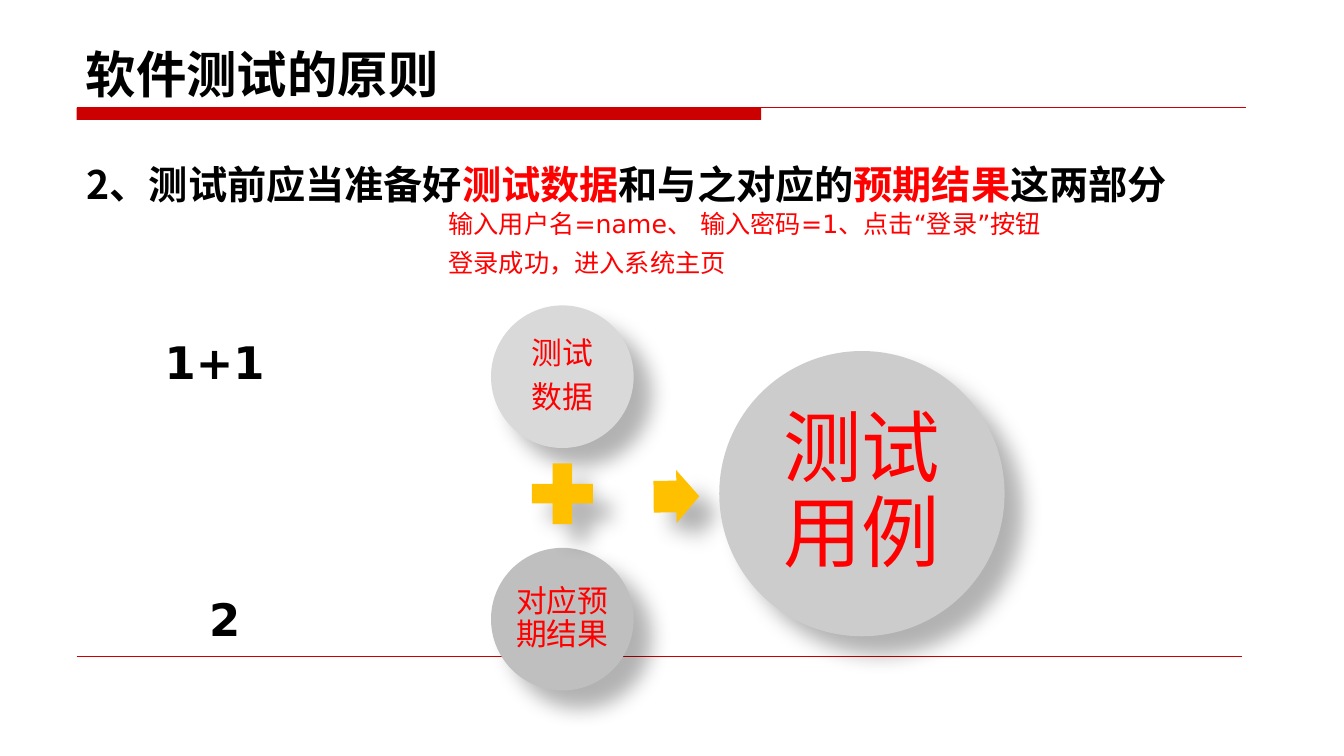
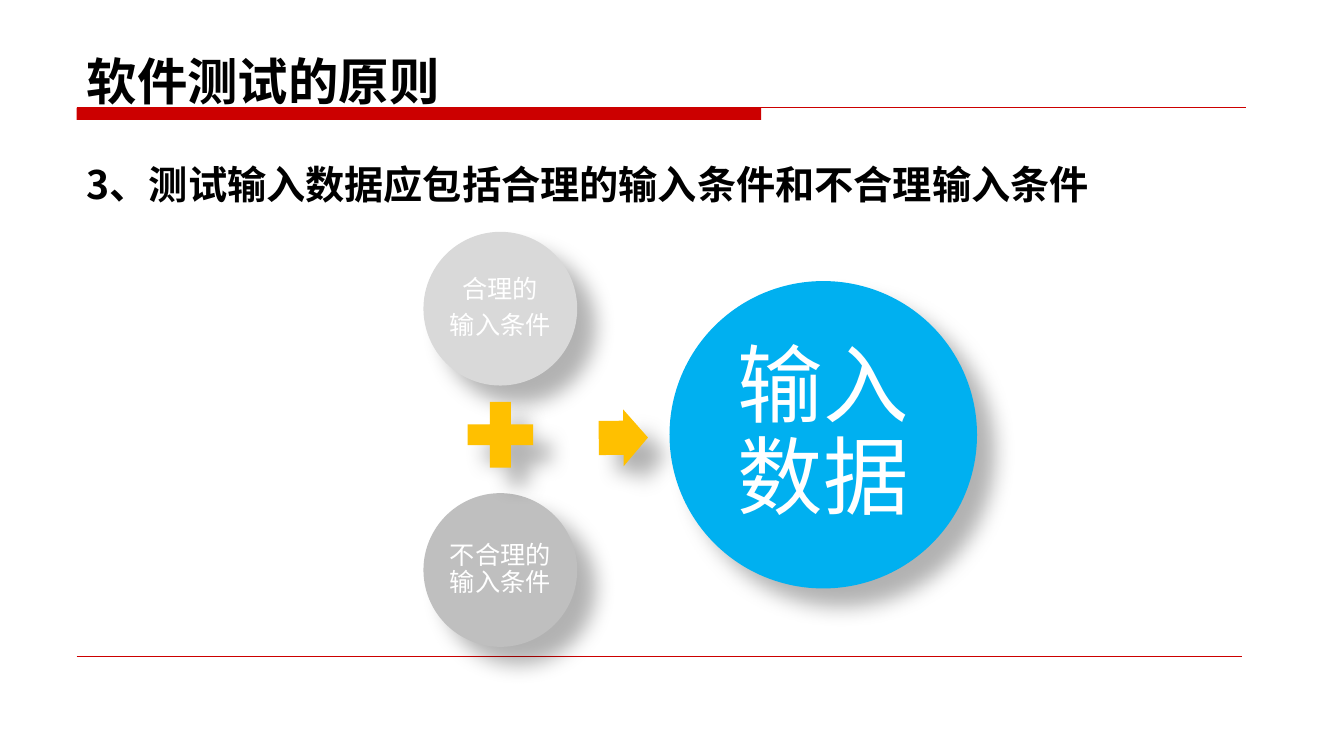
from lxml import etree
from pptx import Presentation
from pptx.dml.color import RGBColor
from pptx.enum.shapes import MSO_CONNECTOR, MSO_SHAPE
from pptx.enum.text import MSO_ANCHOR, MSO_AUTO_SIZE, PP_ALIGN
from pptx.oxml import parse_xml
from pptx.oxml.ns import nsdecls, qn
from pptx.util import Inches, Pt

STRAIGHT = MSO_CONNECTOR.STRAIGHT
ELLIPSE, PLUS, ARROW = MSO_SHAPE.OVAL, MSO_SHAPE.MATH_PLUS, MSO_SHAPE.RIGHT_ARROW
RECTANGLE = MSO_SHAPE.RECTANGLE
MIDDLE, BOTTOM = MSO_ANCHOR.MIDDLE, MSO_ANCHOR.BOTTOM
LEFT, CENTER = PP_ALIGN.LEFT, PP_ALIGN.CENTER
NO_FIT = MSO_AUTO_SIZE.NONE

BLACK = RGBColor(0x00, 0x00, 0x00)
WHITE = RGBColor(0xFF, 0xFF, 0xFF)
RED = RGBColor(0xFF, 0x00, 0x00)
BAND_RED = RGBColor(0xCC, 0x00, 0x00)
LIGHT_GRAY = RGBColor(0xD9, 0xD9, 0xD9)
MIDDLE_GRAY = RGBColor(0xBF, 0xBF, 0xBF)
RESULT_GRAY = RGBColor(0xCC, 0xCC, 0xCC)
RESULT_BLUE = RGBColor(0x00, 0xB0, 0xF0)
GOLD = RGBColor(0xFF, 0xC0, 0x00)

HEADING_FONT = "Noto Sans CJK SC"
TEXT_FONT = "DejaVu Sans"
TITLE = "软件测试的原则"

SLIDES = [
    {
        "title_at": (0.75, 0.29),
        "principle": [("2、测试前应当准备好", BLACK), ("测试数据", RED),
                      ("和与之对应的", BLACK), ("预期结果", RED), ("这两部分", BLACK)],
        "diagram": {
            "at": (4.87, 3.03), "result_diameter": 2.83, "text_color": RED,
            "parts": [["测试", "数据"], ["对应预期结果"]], "part_size": 22,
            "result": ["测试用例"], "result_size": 56, "result_fill": RESULT_GRAY,
        },
        "examples": [("1+1", 1.38, 3.27), ("2", 1.48, 5.82)],
        "steps": ["输入用户名=name、 输入密码=1、点击“登录”按钮", "登录成功，进入系统主页"],
    },
    {
        "title_at": (0.76, 0.36),
        "principle": [("3、测试输入数据应包括合理的输入条件和不合理输入条件", BLACK)],
        "diagram": {
            "at": (4.2, 2.3), "result_diameter": 3.05, "text_color": WHITE,
            "parts": [["合理的", "输入条件"], ["不合理的输入条件"]], "part_size": 18,
            "result": ["输入数据"], "result_size": 61, "result_fill": RESULT_BLUE,
        },
        "examples": [],
        "steps": [],
    },
]


def format_run(run, size, color, font=TEXT_FONT, bold=False):
    run.font.size = Pt(size)
    run.font.color.rgb = color
    run.font.bold = bold
    run.font.name = font
    east_asian = etree.SubElement(run.font._element, qn("a:ea"))
    east_asian.set("typeface", font)


def set_indent(paragraph, margin, first_line):
    properties = paragraph._p.get_or_add_pPr()
    properties.set("marL", str(Inches(margin)))
    properties.set("indent", str(Inches(first_line)))
    return properties


def place(shape, left, top, width, height):
    shape.left, shape.top = Inches(left), Inches(top)
    shape.width, shape.height = Inches(width), Inches(height)


def fill_lines(frame, lines, size, color, bold=False):
    """Write one paragraph per line and return the paragraphs."""
    frame.word_wrap = True
    frame.text = "\n".join(lines)
    for paragraph in frame.paragraphs:
        format_run(paragraph.runs[0], size, color, bold=bold)
    return frame.paragraphs


def add_rule(slide, left, top, right, width):
    rule = slide.shapes.add_connector(
        STRAIGHT, Inches(left), Inches(top), Inches(right), Inches(top))
    rule.line.color.rgb = BAND_RED
    rule.line.width = Pt(width)
    etree.SubElement(rule._element.spPr, qn("a:effectLst"))
    return rule


def add_master_rules(presentation, slide):
    """Draw the title band and rules, then move them to the master."""
    band = slide.shapes.add_shape(
        RECTANGLE, Inches(0.76), Inches(1.07), Inches(6.79), Inches(0.12))
    band.shadow.inherit = False
    band.fill.solid()
    band.fill.fore_color.rgb = BAND_RED
    band.line.fill.background()
    rules = [band, add_rule(slide, 0.76, 1.07, 12.36, 0.75),
             add_rule(slide, 0.76, 6.51, 12.32, 0.25)]
    for shape in rules:
        presentation.slide_master.shapes._spTree.append(shape._element)


def add_headings(slide, title_at, principle):
    title = slide.shapes.title
    place(title, *title_at, 11.67, 0.79)
    frame = title.text_frame
    frame.text = TITLE
    frame.auto_size = NO_FIT
    frame.vertical_anchor = BOTTOM
    frame.paragraphs[0].alignment = LEFT
    format_run(frame.paragraphs[0].runs[0], 36, BLACK, HEADING_FONT, True)

    body = slide.placeholders[1]
    place(body, 0.76, 1.31, 11.67, 4.67)
    body.text_frame.auto_size = NO_FIT
    paragraph = body.text_frame.paragraphs[0]
    paragraph.line_spacing = 1.5
    etree.SubElement(set_indent(paragraph, 0.51, -0.51), qn("a:buNone"))
    for text, color in principle:
        run = paragraph.add_run()
        run.text = text
        format_run(run, 28, color, HEADING_FONT, True)


def add_diagram(slide, diagram):
    """Place all parts by their centres, measured in small-circle diameters."""
    left, top = diagram["at"]
    unit = diagram["result_diameter"] / 2

    def add_part(kind, center_x, center_y, width, height, fill):
        shape = slide.shapes.add_shape(
            kind,
            Inches(left + (center_x - width / 2) * unit),
            Inches(top + (center_y - height / 2) * unit),
            Inches(width * unit), Inches(height * unit))
        shape.fill.solid()
        shape.fill.fore_color.rgb = fill
        shape.line.fill.background()
        shape._element.spPr.append(parse_xml(
            f'<a:effectLst {nsdecls("a")}><a:outerShdw blurRad="{Pt(15)}" '
            f'dist="{Pt(18)}" dir="2700000" algn="ctr" rotWithShape="0">'
            '<a:srgbClr val="000000"><a:alpha val="30000"/></a:srgbClr>'
            '</a:outerShdw></a:effectLst>'))
        return shape

    def add_circle(center_x, center_y, diameter, fill, lines, size, inset):
        circle = add_part(ELLIPSE, center_x, center_y, diameter, diameter, fill)
        frame = circle.text_frame
        frame.margin_left = frame.margin_right = Inches(inset)
        frame.margin_top = frame.margin_bottom = Inches(inset)
        frame.vertical_anchor = MIDDLE
        for paragraph in fill_lines(frame, lines, size, diagram["text_color"]):
            paragraph.alignment = CENTER
            paragraph.line_spacing = 0.9
            paragraph.space_after = Pt(size * 0.35)

    for index, (lines, fill) in enumerate(zip(diagram["parts"], (LIGHT_GRAY, MIDDLE_GRAY))):
        add_circle(0.5, 0.5 + 1.7 * index, 1, fill, lines, diagram["part_size"], 0.03)
    add_part(PLUS, 0.5, 1.32, 0.58, 0.58, GOLD)
    arrow = add_part(ARROW, 1.3, 1.34, 0.32, 0.37, GOLD)
    arrow.adjustments[0], arrow.adjustments[1] = 0.6, 0.5
    arrow.rotation = 359.4
    add_circle(2.6, 1.32, 2, diagram["result_fill"], diagram["result"],
               diagram["result_size"], 0.08)


def add_text(slide, left, top, width, height, lines, size, color, bold=False):
    box = slide.shapes.add_textbox(
        Inches(left), Inches(top), Inches(width), Inches(height))
    return fill_lines(box.text_frame, lines, size, color, bold)


def main():
    presentation = Presentation()
    presentation.slide_width, presentation.slide_height = Inches(13.33), Inches(7.5)
    for number, content in enumerate(SLIDES):
        slide = presentation.slides.add_slide(presentation.slide_layouts[1])
        if number == 0:
            add_master_rules(presentation, slide)
        add_headings(slide, content["title_at"], content["principle"])
        add_diagram(slide, content["diagram"])
        for text, left, top in content["examples"]:
            add_text(slide, left, top, 1.5, 0.64, [text], 32, BLACK, True)[0].alignment = CENTER
        if content["steps"]:
            for paragraph in add_text(slide, 4.13, 2.02, 8.56, 0.9, content["steps"], 18, RED):
                set_indent(paragraph, 0, 0.22)
                paragraph.space_after = Pt(6)
    presentation.save("out.pptx")


if __name__ == "__main__":
    main()
